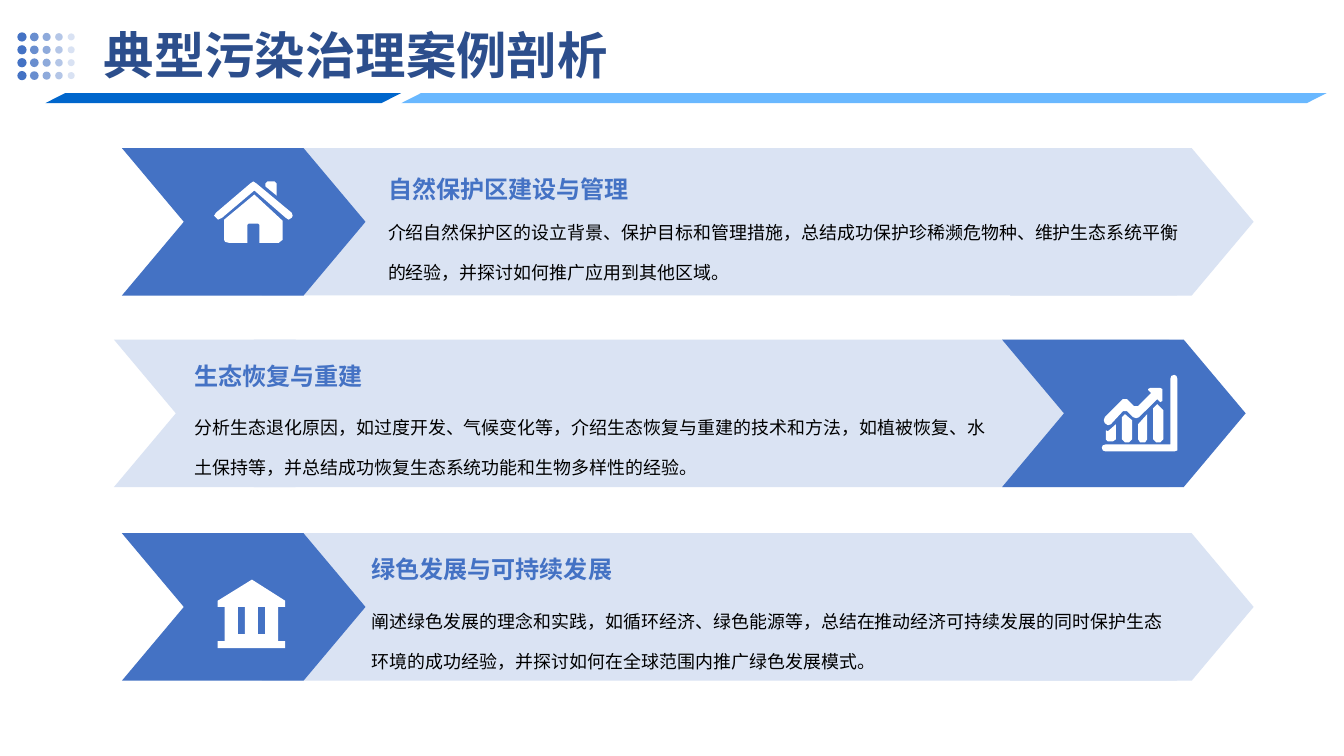
from lxml.etree import SubElement
from pptx import Presentation
from pptx.dml.color import RGBColor
from pptx.enum.shapes import MSO_SHAPE
from pptx.enum.text import MSO_ANCHOR, MSO_AUTO_SIZE
from pptx.oxml.ns import qn
from pptx.util import Pt

COLORS = {
    "blue": "4472C4", "pale": "DAE3F3", "white": "FFFFFF", "black": "000000",
    "title": "2C4E8C", "bar_dark": "0066CC", "bar_light": "69B8FF",
}
CJK_FONT = "Noto Sans CJK SC"

# Icon outlines, in hundredths of an inch from the icon's top left corner
HOUSE = [
    [(51, 2), (53, 0), (60, 0), (62, 2), (62, 14), (51, 5)],
    [(2, 31), (36, 2), (39, 0), (42, 2), (77, 31), (78, 34), (77, 36), (74, 38),
     (71, 36), (40, 9), (8, 36), (4, 38), (2, 36), (0, 34)],
    [(10, 38), (40, 13), (68, 39), (68, 58), (64, 61), (45, 61), (45, 43), (44, 42),
     (34, 42), (33, 43), (33, 61), (15, 61), (11, 60), (10, 58)],
]
GROWTH = [
    [(4, 64), (6, 66), (11, 66), (14, 64), (14, 49), (6, 56), (4, 55)],
    [(20, 42), (23, 39), (30, 45), (30, 64), (27, 67), (23, 67), (20, 64)],
    [(36, 49), (45, 39), (45, 64), (43, 67), (38, 67), (36, 64)],
    [(51, 33), (55, 29), (61, 35), (61, 64), (58, 67), (54, 67), (51, 64)],
    [(21, 36), (25, 36), (31, 42), (34, 43), (37, 42), (55, 24), (58, 27), (60, 26),
     (60, 14), (58, 13), (48, 13), (46, 14), (46, 15), (49, 18), (36, 31), (32, 31),
     (25, 24), (21, 24), (3, 42), (2, 45), (3, 48), (6, 50), (9, 49)],
    [(72, 0), (69, 1), (68, 4), (68, 69), (4, 69), (1, 70), (0, 72), (1, 75),
     (4, 76), (72, 76), (75, 75), (75, 4), (74, 1)],
]
BANK = [
    [(0, 21), (34, 0), (67, 21), (67, 27), (0, 27)],
    [(0, 61), (67, 61), (67, 68), (0, 68)],
    [(7, 54), (60, 54), (60, 61), (7, 61)],
    *[[(x, 27), (x + 13, 27), (x + 13, 54), (x, 54)] for x in (7, 27, 47)],
]

# band left, band top, icon side, icon, icon position,
# heading, heading position, heading anchor, body, body top
BANDS = [
    (87.1, 105.8, "left", HOUSE, (152.9, 129.6),
     "自然保护区建设与管理", (272.2, 110.2), MSO_ANCHOR.MIDDLE,
     "介绍自然保护区的设立背景、保护目标和管理措施，总结成功保护珍稀濒危物种、"
     "维护生态系统平衡的经验，并探讨如何推广应用到其他区域。", 139.7),
    (81.4, 242.6, "right", GROWTH, (787, 267.8),
     "生态恢复与重建", (133.9, 242.6), MSO_ANCHOR.BOTTOM,
     "分析生态退化原因，如过度开发、气候变化等，介绍生态恢复与重建的技术和方法，"
     "如植被恢复、水土保持等，并总结成功恢复生态系统功能和生物多样性的经验。", 279.4),
    (87.1, 380.9, "left", BANK, (155.5, 414),
     "绿色发展与可持续发展", (260.6, 380.9), MSO_ANCHOR.BOTTOM,
     "阐述绿色发展的理念和实践，如循环经济、绿色能源等，总结在推动经济可持续发展的同时保护生态"
     "环境的成功经验，并探讨如何在全球范围内推广绿色发展模式。", 417.6),
]


class Deck:
    def __init__(self):
        self.prs = Presentation()
        self.prs.slide_width, self.prs.slide_height = Pt(960), Pt(540)
        self.s = self.prs.slides.add_slide(self.prs.slide_layouts[6])

    def paint(self, sp, color, alpha=100):
        sp.shadow.inherit = False
        sp.line.fill.background()
        sp.fill.solid()
        sp.fill.fore_color.rgb = RGBColor.from_string(COLORS[color])
        if alpha < 100:
            clr = sp.fill._xPr.find(qn("a:solidFill"))[0]
            SubElement(clr, qn("a:alpha"), val=str(alpha * 1000))

    def shape(self, kind, x, y, w, h, color, adj=None, alpha=100):
        sp = self.s.shapes.add_shape(kind, Pt(x), Pt(y), Pt(w), Pt(h))
        if adj is not None:
            sp.adjustments[0] = adj
        self.paint(sp, color, alpha)

    def icon(self, outlines, x, y):
        fb = self.s.shapes.build_freeform(*outlines[0][0], scale=Pt(0.72))
        for i, (start, *rest) in enumerate(outlines):
            if i:
                fb.move_to(*start)
            fb.add_line_segments(rest, close=True)
        self.paint(fb.convert_to_shape(Pt(x), Pt(y)), "white")

    def text(self, text, x, y, w, h, size, color, bold=False, font=CJK_FONT,
             anchor=MSO_ANCHOR.MIDDLE, spacing=None, insets=(5, 3)):
        tf = self.s.shapes.add_textbox(Pt(x), Pt(y), Pt(w), Pt(h)).text_frame
        tf.word_wrap = True
        tf.vertical_anchor = anchor
        tf.margin_left = tf.margin_right = Pt(insets[0])
        tf.margin_top = tf.margin_bottom = Pt(insets[1])
        p = tf.paragraphs[0]
        p.text = text
        if spacing:
            p.line_spacing = spacing
        r = p.runs[0]
        r.font.size, r.font.bold, r.font.name = Pt(size), bold, font
        r.font.color.rgb = RGBColor.from_string(COLORS[color])
        SubElement(r._r.get_or_add_rPr(), qn("a:ea"), typeface=CJK_FONT)
        return tf

    def band(self, x, y, icon_side):
        """Draw a pale bar between two chevrons, the one on icon_side in blue."""
        self.shape(MSO_SHAPE.RECTANGLE, x + 100, y, 653.8, 105.3, "pale")
        for side, offset in (("left", 0), ("right", 634.4)):
            color = "blue" if side == icon_side else "pale"
            self.shape(MSO_SHAPE.CHEVRON, x + offset, y, 174, 105.3, color, adj=0.42)

    def dot_grid(self, x, y):
        """Draw 4 rows of dots that shrink and fade to the right."""
        for row in range(4):
            for col in range(5):
                d = 6.6 - 0.4 * col
                self.shape(MSO_SHAPE.OVAL, x + 8.8 * col - d / 2, y + 9.2 * row - d / 2,
                           d, d, "blue", alpha=100 - 20 * col)


def main():
    deck = Deck()
    for (x, y, side, icon, icon_at, heading, heading_at, anchor,
         body, body_top) in BANDS:
        deck.band(x, y, side)
        deck.icon(icon, *icon_at)
        deck.text(body, heading_at[0], body_top, 581, 67.7, 12.8, "black", spacing=1.86)
        deck.text(heading, *heading_at, 581, 38.9, 17.2, "blue", bold=True,
                  anchor=anchor, spacing=1.5)

    tf = deck.text("典型污染治理案例剖析", 67, 13.7, 853.9, 51, 36, "title", bold=True,
                   font="Arial", anchor=MSO_ANCHOR.TOP, insets=(7.2, 3.6))
    tf.auto_size = MSO_AUTO_SIZE.SHAPE_TO_FIT_TEXT
    deck.dot_grid(15.7, 26.4)
    for x, w, color in ((32.4, 254.2, "bar_dark"), (286.6, 661, "bar_light")):
        deck.shape(MSO_SHAPE.PARALLELOGRAM, x, 66.5, w, 7.2, color, adj=1.97)
    deck.prs.save("out.pptx")


if __name__ == "__main__":
    main()
